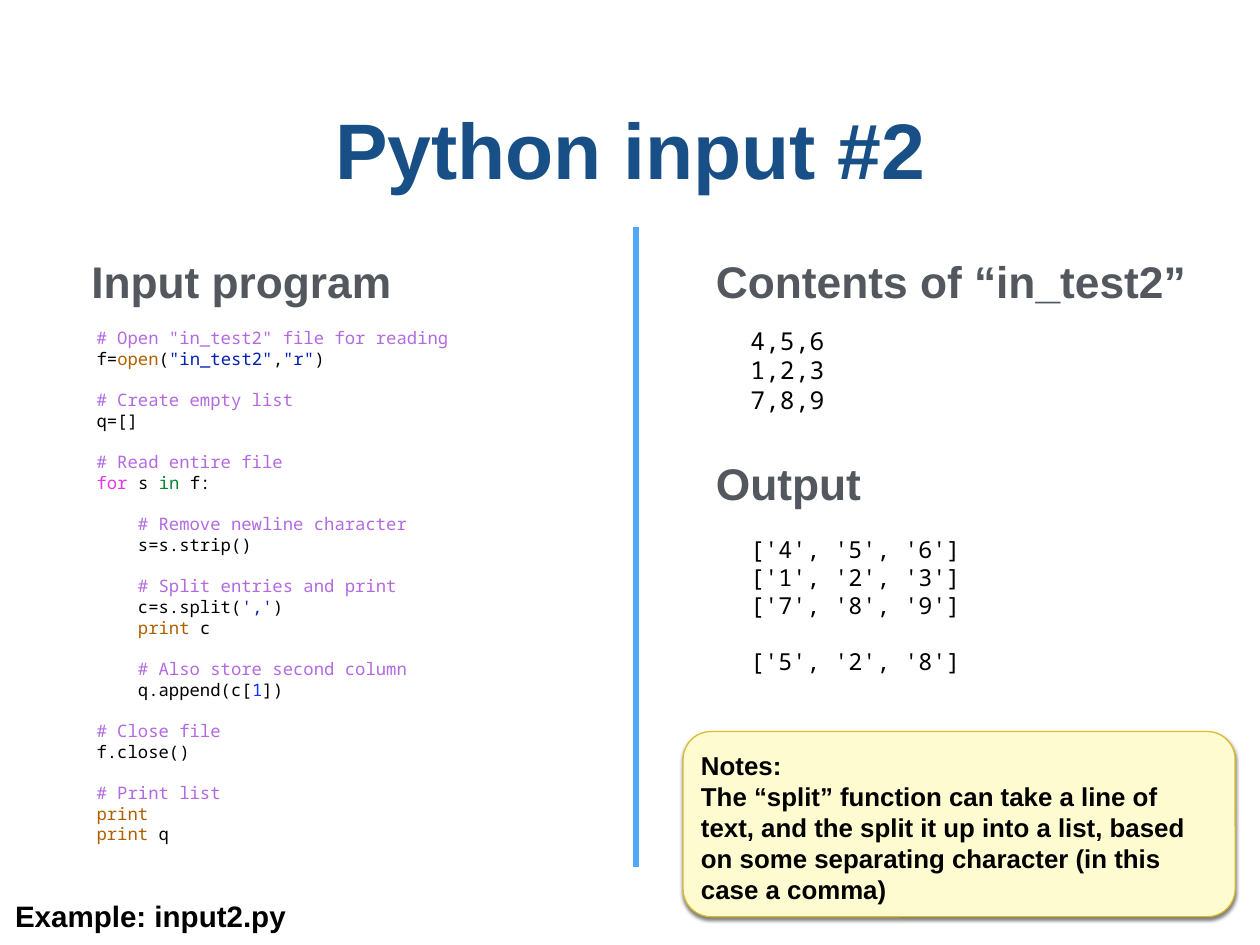
from lxml import etree
from pptx import Presentation
from pptx import util as u
from pptx.dml.color import RGBColor
from pptx.enum import shapes, text
from pptx.oxml.ns import qn

SANS, MONO = "Arial", "Noto Sans Mono"
BLACK, NAVY, GREY = "000000", "174F86", "53585F"
COMMENT, BUILTIN, STRING = "B36AE1", "AF5F00", "0220B3"
LOOP, OPERATOR, NUMBER = "E539E5", "00882B", "0433FF"

# Code blocks: a line is one string, or a list of (text, colour) pieces
PROGRAM = [
    ['# Open "in_test2" file for reading',
     [("f=", BLACK), ("open", BUILTIN), ("(", BLACK), ('"in_test2"', STRING),
      (",", BLACK), ('"r"', STRING), (")", BLACK)]],
    ["# Create empty list", "q=[]"],
    ["# Read entire file",
     [("for", LOOP), (" s ", BLACK), ("in", OPERATOR), (" f:", BLACK)]],
    ["    # Remove newline character", "    s=s.strip()"],
    ["    # Split entries and print",
     [("    c=s.split(", BLACK), ("','", STRING), (")", BLACK)],
     [("    print", BUILTIN), (" c", BLACK)]],
    ["    # Also store second column",
     [("    q.append(c[", BLACK), ("1", NUMBER), ("])", BLACK)]],
    ["# Close file", "f.close()"],
    ["# Print list", [("print", BUILTIN)], [("print", BUILTIN), (" q", BLACK)]],
]
FILE_CONTENTS = [["4,5,6", "1,2,3", "7,8,9"]]
OUTPUT = [["['4', '5', '6']", "['1', '2', '3']", "['7', '8', '9']"],
          ["['5', '2', '8']"]]
NOTES = [
    "Notes:",
    "The “split” function can take a line of text, and the split it up into "
    "a list, based on some separating character (in this case a comma)",
]


def color(hex_string):
    return RGBColor.from_string(hex_string)


def style(paragraph, size, hex_color, name=SANS, bold=True):
    font = paragraph.font
    font.name, font.size, font.bold = name, u.Pt(size), bold
    font.color.rgb = color(hex_color)


def set_margins(frame, inches):
    frame.margin_left = frame.margin_right = u.Inches(inches)
    frame.margin_top = frame.margin_bottom = u.Inches(inches)


def add_frame(slide, left, top, width, height, wrap=False):
    box = slide.shapes.add_textbox(
        u.Inches(left), u.Inches(top), u.Inches(width), u.Inches(height))
    frame = box.text_frame
    frame.word_wrap = wrap
    frame.vertical_anchor = text.MSO_ANCHOR.MIDDLE
    set_margins(frame, 0.06)
    return frame


def next_paragraph(frame, index):
    return frame.add_paragraph() if index else frame.paragraphs[0]


def add_label(slide, left, top, width, height, words, size, hex_color):
    paragraph = add_frame(slide, left, top, width, height).paragraphs[0]
    paragraph.text = words
    style(paragraph, size, hex_color)


def add_title(slide, words):
    paragraph = add_frame(slide, 0.48, 0.49, 13.27, 2.36, wrap=True).paragraphs[0]
    paragraph.text = words
    paragraph.alignment = text.PP_ALIGN.CENTER
    style(paragraph, 64, NAVY)


def add_code(slide, left, top, width, height, blocks, size):
    """Blocks are set one line height apart."""
    frame = add_frame(slide, left, top, width, height)
    line_height = u.Pt(size * 1.2)
    starts = [(line, block_number > 0 and line_number == 0)
              for block_number, block in enumerate(blocks)
              for line_number, line in enumerate(block)]
    for index, (line, opens_block) in enumerate(starts):
        paragraph = next_paragraph(frame, index)
        paragraph.line_spacing = line_height
        if opens_block:
            paragraph.space_before = line_height
        if isinstance(line, str):
            paragraph.text = line
            is_comment = line.lstrip().startswith("#")
            style(paragraph, size, COMMENT if is_comment else BLACK, MONO, False)
            continue
        style(paragraph, size, BLACK, MONO, False)
        for words, hex_color in line:
            run = paragraph.add_run()
            run.text = words
            run.font.color.rgb = color(hex_color)


def add_divider(slide, x, top, bottom):
    line = slide.shapes.add_connector(
        shapes.MSO_CONNECTOR.STRAIGHT,
        u.Inches(x), u.Inches(bottom), u.Inches(x), u.Inches(top))
    line.line.color.rgb = color("51A8F9")
    line.line.width = u.Pt(5)
    etree.SubElement(line.element.spPr, qn("a:effectLst"))


def add_drop_shadow(shape):
    shape.shadow.inherit = False
    effects = shape.element.spPr.find(qn("a:effectLst"))
    shadow = etree.SubElement(
        effects, qn("a:outerShdw"), blurRad=str(u.Pt(3)), dist=str(u.Pt(2)),
        dir="5400000", rotWithShape="0")
    shade = etree.SubElement(shadow, qn("a:srgbClr"), val=BLACK)
    etree.SubElement(shade, qn("a:alpha"), val="50000")


def add_note(slide, left, top, width, height, paragraphs):
    note = slide.shapes.add_shape(
        shapes.MSO_SHAPE.ROUNDED_RECTANGLE,
        u.Inches(left), u.Inches(top), u.Inches(width), u.Inches(height))
    note.adjustments[0] = 0.15
    note.fill.solid()
    note.fill.fore_color.rgb = color("FFFBD1")
    note.line.color.rgb = color("DCBD23")
    note.line.width = u.Pt(1)
    add_drop_shadow(note)
    frame = note.text_frame
    frame.word_wrap = True
    frame.vertical_anchor = text.MSO_ANCHOR.TOP
    set_margins(frame, 0.11)
    for index, words in enumerate(paragraphs):
        paragraph = next_paragraph(frame, index)
        paragraph.text = words
        paragraph.alignment = text.PP_ALIGN.LEFT
        style(paragraph, 21, BLACK)


def main():
    presentation = Presentation()
    presentation.slide_width = u.Inches(14.22)
    presentation.slide_height = u.Inches(10.67)
    slide = presentation.slides.add_slide(presentation.slide_layouts[6])

    # Title, footer and divider
    add_title(slide, "Python input #2")
    add_label(slide, 0.11, 10.08, 3.18, 0.51, "Example: input2.py", 24, BLACK)
    add_divider(slide, 7.18, 2.56, 9.79)

    # Column headings
    for left, top, width, words in [
        (0.97, 2.81, 3.51, "Input program"),
        (8.02, 2.81, 5.43, "Contents of “in_test2”"),
        (8.02, 5.1, 1.76, "Output"),
    ]:
        add_label(slide, left, top, width, 0.71, words, 36, GREY)

    # Program, input file and result
    add_code(slide, 8.41, 3.62, 1.13, 1.11, FILE_CONTENTS, 20)
    add_code(slide, 8.41, 6.01, 2.67, 1.64, OUTPUT, 19)
    add_code(slide, 1.03, 3.78, 4.22, 5.67, PROGRAM, 14)

    # Notes
    add_note(slide, 7.71, 8.26, 6.23, 2.09, NOTES)

    presentation.save("out.pptx")


if __name__ == "__main__":
    main()
